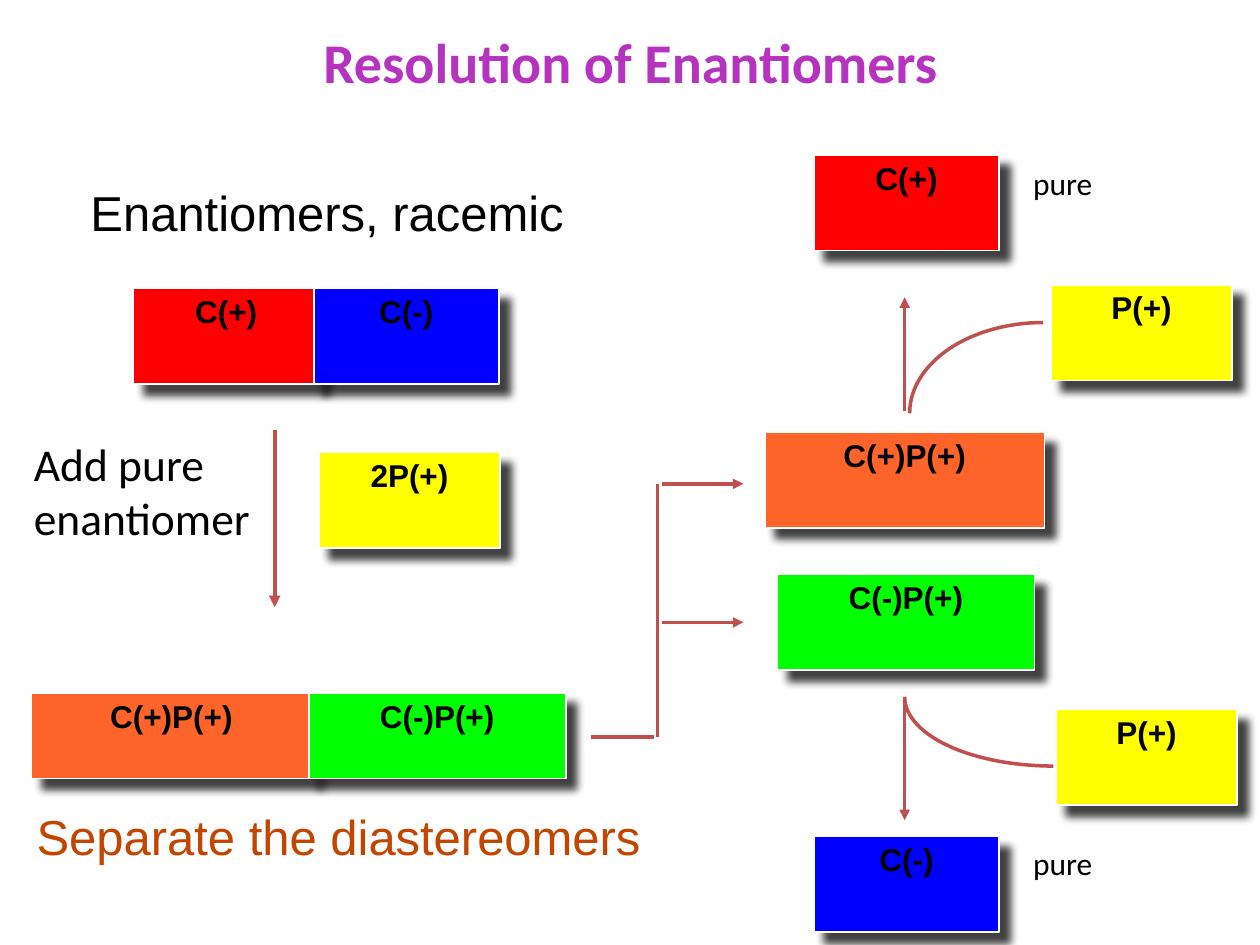
import math
from typing import NamedTuple

import pptx
import pptx.dml.color
import pptx.enum.shapes
import pptx.enum.text
import pptx.oxml
import pptx.oxml.ns
import pptx.util
from pptx.util import Inches

RED, BLUE, YELLOW = "FF0000", "0000FF", "FFFF00"
ORANGE, GREEN = "FF652A", "00FF00"
BLACK, WHITE, ARROW = "000000", "FFFFFF", "C0504D"
CENTER = pptx.enum.text.PP_ALIGN.CENTER
LEFT = pptx.enum.text.PP_ALIGN.LEFT
TIGHT = (0.02, 0.03)
ROOMY = (0.1, 0.05)
BLOCK_HEIGHT = 0.76
SINGLE, REAGENT = 1.47, 1.44
PLUS_SALT, MINUS_SALT = 2.22, 2.04
SHADOW = (
    f'<a:outerShdw {pptx.oxml.ns.nsdecls("a")} blurRad="63500" dist="107950" '
    'dir="2700000" algn="tl" rotWithShape="0"><a:srgbClr val="000000">'
    '<a:alpha val="75000"/></a:srgbClr></a:outerShdw>'
)


class Block(NamedTuple):
    label: str
    left: float
    top: float
    width: float
    color: str
    height: float = BLOCK_HEIGHT


class Caption(NamedTuple):
    text: str
    left: float
    top: float
    width: float
    height: float
    size: float
    font: str = "Calibri"
    color: str = BLACK
    inset: tuple = ROOMY
    align: pptx.enum.text.PP_ALIGN = LEFT


class Line(NamedTuple):
    start: tuple
    end: tuple
    arrow: bool = True
    weight: float = 2


class Curve(NamedTuple):
    """A quarter ellipse running between two angles in degrees."""
    center: tuple
    radii: tuple
    start: int
    end: int


BLOCKS = [
    # Racemic pair and the resolving agent
    Block("C(+)", 1.06, 2.29, SINGLE, RED),
    Block("C(-)", 2.49, 2.29, SINGLE, BLUE),
    Block("2P(+)", 2.53, 3.59, REAGENT, YELLOW),
    # Mixed diastereomers
    Block("C(+)P(+)", 0.25, 5.5, PLUS_SALT, ORANGE, 0.68),
    Block("C(-)P(+)", 2.45, 5.5, MINUS_SALT, GREEN, 0.68),
    # Separated diastereomers
    Block("C(+)P(+)", 6.07, 3.43, PLUS_SALT, ORANGE),
    Block("C(-)P(+)", 6.17, 4.56, MINUS_SALT, GREEN),
    # Recovered agent and pure enantiomers
    Block("P(+)", 8.38, 5.63, REAGENT, YELLOW),
    Block("P(+)", 8.34, 2.26, REAGENT, YELLOW),
    Block("C(+)", 6.46, 1.23, SINGLE, RED),
    Block("C(-)", 6.46, 6.64, SINGLE, BLUE),
]

CAPTIONS = [
    Caption("Enantiomers, racemic", 0.67, 1.42, 3.85, 0.67, 28, "Arial",
            inset=TIGHT, align=CENTER),
    Caption("Separate the diastereomers", 0.27, 6.37, 3.88, 0.7, 28, "Arial",
            "C24500", TIGHT),
    Caption("pure", 8.1, 1.25, 0.98, 0.6, 18),
    Caption("pure", 8.1, 6.65, 0.98, 0.6, 18),
    Caption("Add pure\nenantiomer", 0.17, 3.41, 2.01, 1.1, 26),
]

LINES = [
    Line((2.18, 3.41), (2.18, 4.82), weight=2.25),
    # Branch to the separated diastereomers
    Line((4.69, 5.85), (5.19, 5.85), arrow=False),
    Line((5.22, 5.85), (5.22, 3.84), arrow=False),
    Line((5.25, 4.94), (5.9, 4.94)),
    Line((5.25, 3.84), (5.9, 3.84)),
    # Release of the pure enantiomers
    Line((7.18, 3.26), (7.18, 2.36)),
    Line((7.18, 5.54), (7.18, 6.51)),
]

CURVES = [
    Curve((8.36, 5.53), (1.18, 0.55), 90, 180),
    Curve((8.28, 3.28), (1.06, 0.72), 180, 270),
]


def rgb(color: str) -> pptx.dml.color.RGBColor:
    return pptx.dml.color.RGBColor.from_string(color)


def write(box, text: str, size: float, font: str, color: str = BLACK,
          bold: bool = False, inset: tuple = TIGHT, align=CENTER,
          anchor=pptx.enum.text.MSO_ANCHOR.TOP) -> None:
    frame = box.text_frame
    frame.text = text
    frame.word_wrap = False
    frame.auto_size = pptx.enum.text.MSO_AUTO_SIZE.NONE
    frame.vertical_anchor = anchor
    frame.margin_left = frame.margin_right = Inches(inset[0])
    frame.margin_top = frame.margin_bottom = Inches(inset[1])
    for para in frame.paragraphs:
        para.alignment = align
        for span in para.runs:
            span.font.size = pptx.util.Pt(size)
            span.font.name = font
            span.font.bold = bold
            span.font.color.rgb = rgb(color)


def set_line(line, color: str, weight: float) -> None:
    line.color.rgb = rgb(color)
    line.width = pptx.util.Pt(weight)


def draw_block(page, block: Block) -> None:
    box = page.shapes.add_shape(
        pptx.enum.shapes.MSO_SHAPE.RECTANGLE, Inches(block.left),
        Inches(block.top), Inches(block.width), Inches(block.height))
    box.fill.solid()
    box.fill.fore_color.rgb = rgb(block.color)
    set_line(box.line, WHITE, 1)
    box.shadow.inherit = False
    effects = box.element.spPr.find(pptx.oxml.ns.qn("a:effectLst"))
    effects.append(pptx.oxml.parse_xml(SHADOW))
    write(box, block.label, 18, "Arial", bold=True)


def draw_caption(page, caption: Caption) -> None:
    box = page.shapes.add_textbox(
        Inches(caption.left), Inches(caption.top),
        Inches(caption.width), Inches(caption.height))
    write(box, caption.text, caption.size, caption.font, caption.color,
          inset=caption.inset, align=caption.align)


def draw_line(page, line: Line) -> None:
    connector = page.shapes.add_connector(
        pptx.enum.shapes.MSO_CONNECTOR.STRAIGHT,
        *(Inches(value) for value in line.start + line.end))
    set_line(connector.line, ARROW, line.weight)
    properties = connector.element.spPr
    if line.arrow:
        head = pptx.oxml.parse_xml(
            f'<a:tailEnd {pptx.oxml.ns.nsdecls("a")} type="triangle"/>')
        properties.find(pptx.oxml.ns.qn("a:ln")).append(head)
    properties.append(pptx.oxml.parse_xml(
        f'<a:effectLst {pptx.oxml.ns.nsdecls("a")}/>'))


def draw_curve(page, curve: Curve, steps: int = 30) -> None:
    angles = [math.radians(curve.start + (curve.end - curve.start) * i / steps)
              for i in range(steps + 1)]
    points = [(Inches(curve.center[0] + curve.radii[0] * math.cos(angle)),
               Inches(curve.center[1] + curve.radii[1] * math.sin(angle)))
              for angle in angles]
    builder = page.shapes.build_freeform(*points[0])
    builder.add_line_segments(points[1:], close=False)
    arc = builder.convert_to_shape()
    arc.fill.background()
    set_line(arc.line, ARROW, 2)
    arc.shadow.inherit = False


def main() -> None:
    deck = pptx.Presentation()
    deck.slide_width, deck.slide_height = Inches(10), Inches(7.5)
    page = deck.slides.add_slide(deck.slide_layouts[5])

    # Title
    title = page.shapes.title
    title.left, title.top = Inches(2.44), Inches(0.17)
    title.width, title.height = Inches(5.13), Inches(0.64)
    write(title, "Resolution of Enantiomers", 32, "Calibri", "B533BF",
          bold=True, inset=ROOMY)

    # Resolution scheme
    for draw, parts in ((draw_block, BLOCKS), (draw_line, LINES),
                        (draw_curve, CURVES), (draw_caption, CAPTIONS)):
        for part in parts:
            draw(page, part)

    deck.save("out.pptx")


if __name__ == "__main__":
    main()
